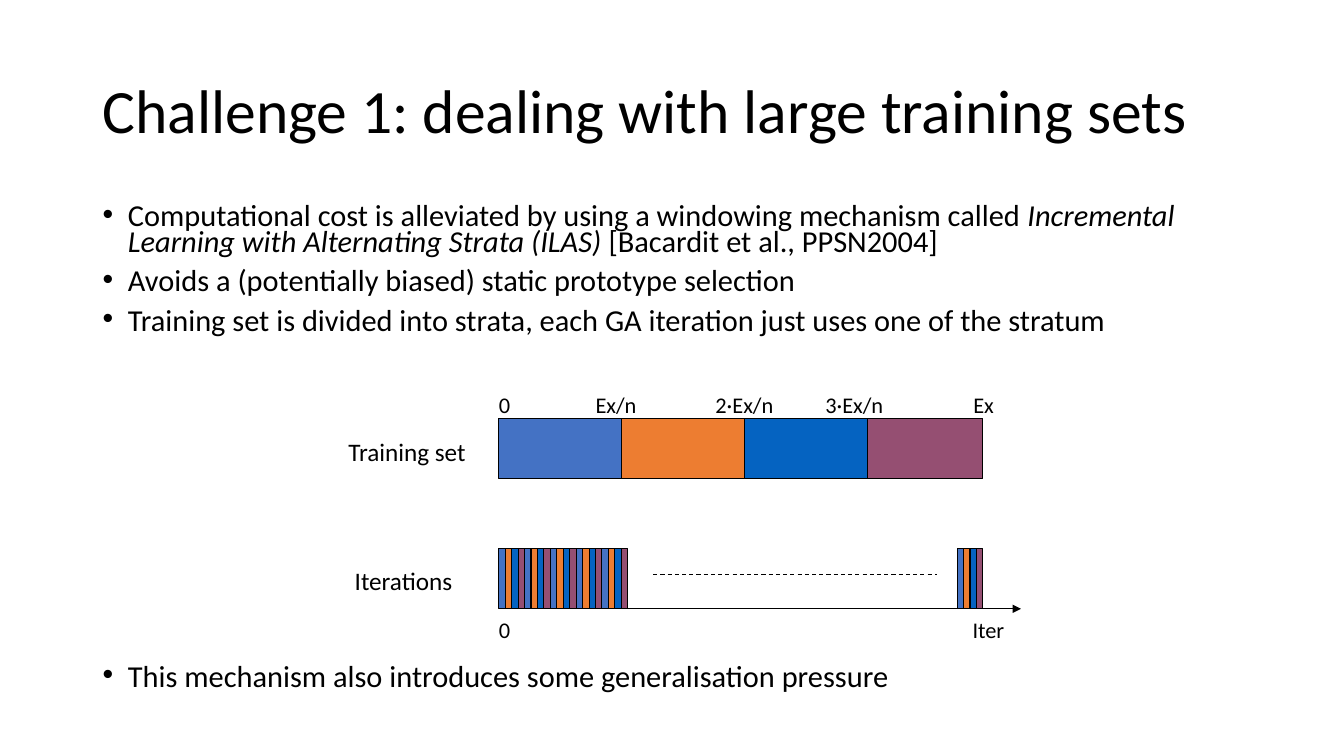
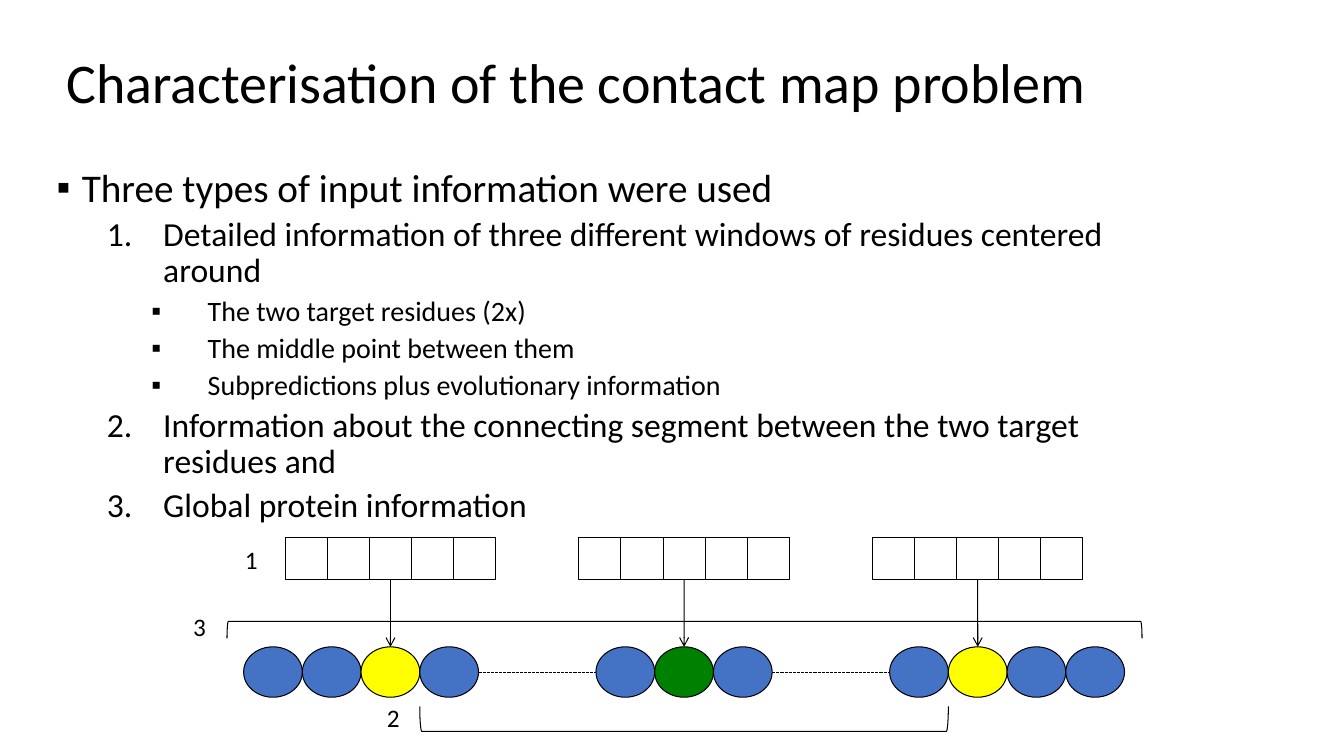
from lxml.etree import SubElement
from pptx import Presentation
from pptx.dml.color import RGBColor
from pptx.enum.dml import MSO_LINE
from pptx.enum.shapes import MSO_CONNECTOR, MSO_SHAPE
from pptx.enum.text import MSO_ANCHOR, MSO_AUTO_SIZE, PP_ALIGN
from pptx.oxml.ns import qn
from pptx.util import Cm, Pt

FONT = "Calibri"
COLORS = {
    "ink": "000000",
    "blue": "4472C4",
    "orange": "ED7D31",
    "deep_blue": "0563C1",
    "plum": "954F72",
    "yellow": "FFFF00",
    "green": "008000",
}
STRATA = ("blue", "orange", "deep_blue", "plum")


def rgb(name):
    return RGBColor.from_string(COLORS[name])


def format_runs(para, size):
    for span in para.runs:
        span.font.name = FONT
        span.font.size = Pt(size)
        span.font.color.rgb = rgb("ink")


def move(shape, left, top, width, height):
    shape.left, shape.top = Cm(left), Cm(top)
    shape.width, shape.height = Cm(width), Cm(height)


def add_titled_slide(deck, title, size, left, top):
    slide = deck.slides.add_slide(deck.slide_layouts[1])
    box = slide.shapes.title
    move(box, left, top, 29.21, 3.68)
    frame = box.text_frame
    frame.text = title
    frame.auto_size = MSO_AUTO_SIZE.NONE
    frame.vertical_anchor = MSO_ANCHOR.MIDDLE
    para = frame.paragraphs[0]
    para.alignment = PP_ALIGN.LEFT
    para.line_spacing = 0.9
    format_runs(para, size)
    return slide


def place_body(slide, left, top, width, height):
    body = slide.placeholders[1]
    move(body, left, top, width, height)
    body.text_frame.auto_size = MSO_AUTO_SIZE.NONE
    return body.text_frame


def format_item(para, size, margin, hanging, spacing, before, bullet):
    """Format a list item; a bullet of None numbers it."""
    para.alignment = PP_ALIGN.LEFT
    para.line_spacing = spacing
    para.space_before = Pt(before)
    format_runs(para, size)
    properties = para._p.get_or_add_pPr()
    properties.set("marL", str(Cm(margin)))
    properties.set("indent", str(-Cm(hanging)))
    SubElement(properties, qn("a:buFont")).set("typeface", "Arial" if bullet else "+mj-lt")
    if bullet:
        SubElement(properties, qn("a:buChar")).set("char", bullet)
    else:
        SubElement(properties, qn("a:buAutoNum")).set("type", "arabicPeriod")


def add_outlined(shapes, kind, left, top, width, height, fill=None):
    shape = shapes.add_shape(kind, Cm(left), Cm(top), Cm(width), Cm(height))
    shape.shadow.inherit = False
    if fill:
        shape.fill.solid()
        shape.fill.fore_color.rgb = rgb(fill)
    else:
        shape.fill.background()
    shape.line.color.rgb = rgb("ink")
    shape.line.width = Pt(0.75)
    return shape


def add_line(shapes, start, end, dash=None, arrow=None):
    line = shapes.add_connector(MSO_CONNECTOR.STRAIGHT, *map(Cm, start + end))
    line.line.color.rgb = rgb("ink")
    line.line.width = Pt(0.75)
    if dash:
        line.line.dash_style = dash
    properties = line._element.spPr
    if arrow:
        SubElement(properties.find(qn("a:ln")), qn("a:tailEnd")).set("type", arrow)
    SubElement(properties, qn("a:effectLst"))
    return line


def add_label(slide, text, left, top, width, size):
    height = 1.02 if size == 18 else 0.94
    box = slide.shapes.add_textbox(Cm(left), Cm(top), Cm(width), Cm(height))
    frame = box.text_frame
    frame.text = text
    frame.word_wrap = False
    frame.auto_size = MSO_AUTO_SIZE.SHAPE_TO_FIT_TEXT
    format_runs(frame.paragraphs[0], size)


def add_strata(slide, left, top, widths):
    for fill, width in zip(STRATA, widths):
        add_outlined(slide.shapes, MSO_SHAPE.RECTANGLE, left, top, width, 1.52, fill)
        left += width


def add_training_set(slide, left, top):
    add_label(slide, "Training set", left - 4.04, top + 0.33, 3.56, 18)
    add_strata(slide, left, top, (3.1, 3.1, 3.1, 2.9))
    ticks = (("0", -0.25, 0.81), ("Ex/n", 2.19, 1.55), ("2·Ex/n", 5.21, 1.98),
             ("3·Ex/n", 7.98, 1.98), ("Ex", 11.71, 1.04))
    for text, offset, width in ticks:
        add_label(slide, text, left + offset, top - 0.81, width, 16)


def add_iterations(slide, left, top):
    cycle, last_cycle, bottom = 0.65, 11.55, top + 1.52
    add_label(slide, "Iterations", left - 3.88, top + 0.3, 3.02, 18)
    for offset in [index * cycle for index in range(5)] + [last_cycle]:
        add_strata(slide, left + offset, top, [cycle / 4] * 4)
    add_line(slide.shapes, (left, bottom), (left + 13.16, bottom), arrow="triangle")
    middle = top + 0.66
    add_line(slide.shapes, (left + 3.89, middle), (left + 11.05, middle), MSO_LINE.DASH)
    add_label(slide, "0", left - 0.25, bottom + 0.05, 0.81, 16)
    add_label(slide, "Iter", left + 11.69, bottom + 0.05, 1.32, 16)


def build_training_slide(deck):
    slide = add_titled_slide(
        deck, "Challenge 1: dealing with large training sets", 44, 2.33, 1.01)
    frame = place_body(slide, 2.33, 5.07, 29.21, 13)
    method = "Incremental Learning with Alternating Strata (ILAS) "
    items = (
        (("Computational cost is alleviated by using a windowing mechanism called ",
          method, "[Bacardit et al., PPSN2004]"), 10),
        (("Avoids a (potentially biased) static prototype selection",), 10),
        (("Training set is divided into strata, each GA iteration just uses one of the stratum",), 10),
        (("This mechanism also introduces some generalisation pressure",), 236),
    )
    for index, (parts, before) in enumerate(items):
        para = frame.add_paragraph() if index else frame.paragraphs[0]
        for part in parts:
            span = para.add_run()
            span.text = part
            span.font.italic = part == method
        format_item(para, 21.7, 0.64, 0.64, 0.7, before, "•")
    add_training_set(slide, 12.57, 10.54)
    add_iterations(slide, 12.57, 13.82)


def add_window(slide, center, top, cell):
    """Draw five joined cells and return their outline."""
    shapes = slide.shapes.add_group_shape().shapes
    left = center - 2.5 * cell
    outline = add_outlined(shapes, MSO_SHAPE.RECTANGLE, left, top, 5 * cell, cell)
    for index in range(1, 5):
        x = left + index * cell
        add_line(shapes, (x, top), (x, top + cell))
    return outline


def add_bracket(slide, left, top, width, depth, rotation):
    """Draw a lying bracket that fills the given box once turned."""
    bracket = add_outlined(
        slide.shapes, MSO_SHAPE.LEFT_BRACKET,
        left + (width - depth) / 2, top + (depth - width) / 2, depth, width)
    bracket.rotation = rotation
    bracket.adjustments[0] = 0.08


def add_residue_chain(slide, left, top):
    pitch, height = 1.48, 1.27
    window_top = top - 2.76
    targets = {2: "yellow", 7: "green", 12: "yellow"}
    gaps = ((4, 6), (9, 11))
    hidden = {slot for start, end in gaps for slot in range(start, end)}
    for slot in range(15):
        if slot in hidden:
            continue
        x = left + slot * pitch
        residue = add_outlined(slide.shapes, MSO_SHAPE.OVAL, x, top, pitch, height,
                               targets.get(slot, "blue"))
        if slot in targets:
            center = x + pitch / 2
            window = add_window(slide, center, window_top, 1.06)
            arrow = add_line(slide.shapes, (center, window_top + 1.06), (center, top),
                             arrow="arrow")
            arrow.begin_connect(window, 2)
            arrow.end_connect(residue, 0)
    middle = top + height / 2
    for start, end in gaps:
        add_line(slide.shapes, (left + start * pitch, middle), (left + end * pitch, middle),
                 MSO_LINE.SQUARE_DOT)
    add_bracket(slide, left - 0.42, top - 0.64, 15 * pitch + 0.86, 0.43, 90)
    add_bracket(slide, left + 3 * pitch, top + 1.5, 9 * pitch, 0.63, 270)
    for text, x, y in (("1", -0.22, -2.71), ("2", 3.36, 1.28), ("3", -1.52, -1.03)):
        add_label(slide, text, left + x, top + y, 0.86, 18)


def build_contact_map_slide(deck):
    slide = add_titled_slide(
        deck, "Characterisation of the contact map problem", 40, 1.42, 0.3)
    frame = place_body(slide, 1.17, 4.11, 29.21, 12.09)
    styles = (
        (28, 0.64, 0.64, 0.9, 10, "▪"),
        (24, 2.69, 1.42, 0.9, 5, None),
        (20, 3.81, 1.42, 0.9, 5, "▪"),
    )
    items = (
        (0, "Three types of input information were used"),
        (1, "Detailed information of three different windows of residues centered around"),
        (2, "The two target residues (2x)"),
        (2, "The middle point between them"),
        (2, "Subpredictions plus evolutionary information"),
        (1, "Information about the connecting segment between the two target residues and"),
        (1, "Global protein information"),
    )
    for index, (level, text) in enumerate(items):
        para = frame.add_paragraph() if index else frame.paragraphs[0]
        para.text = text
        para.level = level
        format_item(para, *styles[level])
    add_residue_chain(slide, 6.14, 16.3)


def main():
    deck = Presentation()
    deck.slide_width, deck.slide_height = Cm(33.87), Cm(19.05)
    build_training_slide(deck)
    build_contact_map_slide(deck)
    deck.save("out.pptx")


if __name__ == "__main__":
    main()
